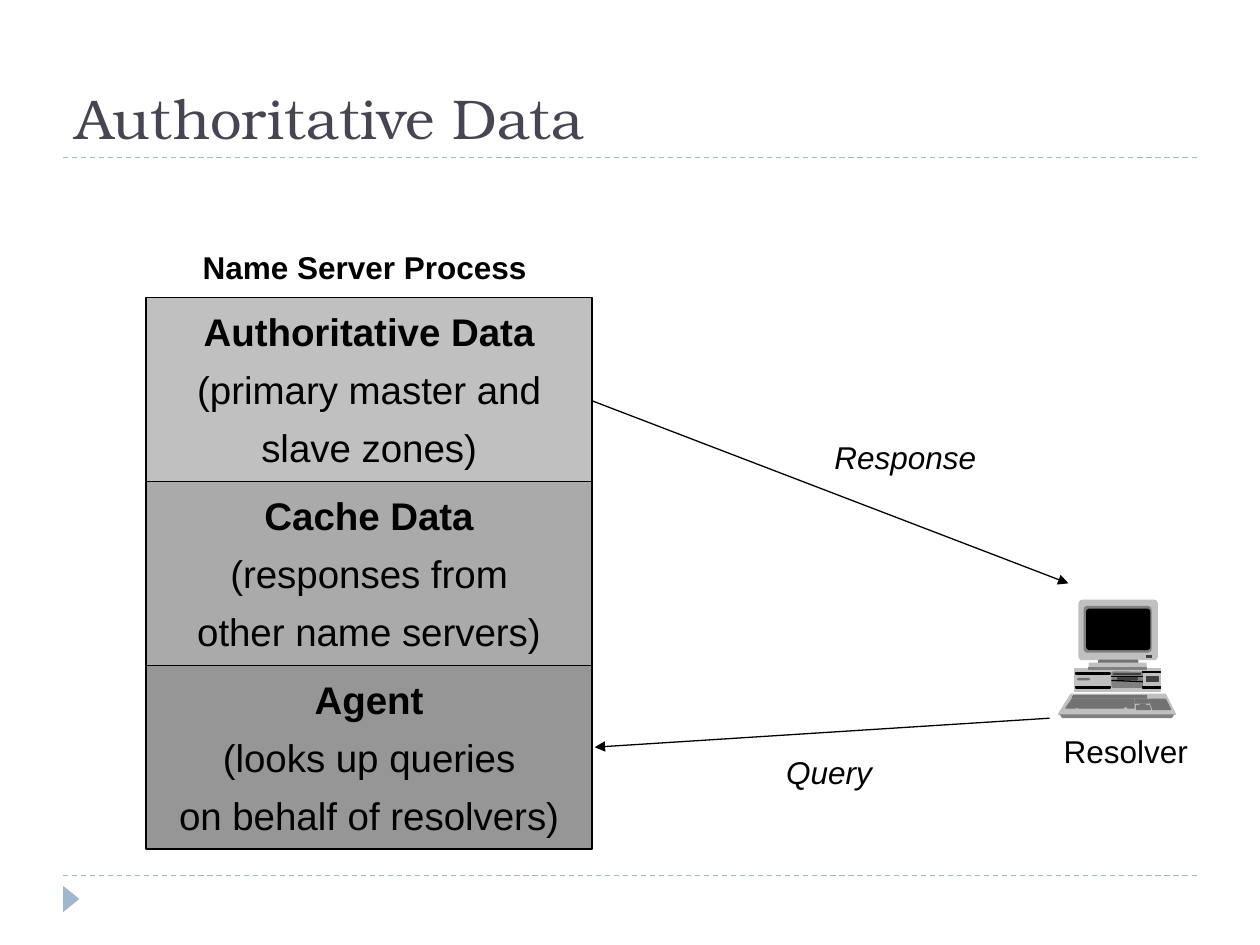
"""Build a slide on authoritative data in a name server, on a 100 by 75 grid."""
from lxml import etree
from pptx import Presentation
from pptx.dml.color import RGBColor
from pptx.enum import dml, shapes, text
from pptx.oxml.ns import qn
from pptx.util import Pt

HUES = {"ink": "000000", "title": "464653", "theme": "9FB8CD", "light": "C0C0C0",
        "mid": "AAAAAA", "deep": "969696", "shade": "808080", "key": "727272",
        "slot": "404040"}
HUES = {name: RGBColor.from_string(code) for name, code in HUES.items()}
KIND = shapes.MSO_SHAPE
ALIGN = text.PP_ALIGN

deck = Presentation()
deck.slide_width, deck.slide_height = Pt(720), Pt(540)
cell = deck.slide_width // 100
slide = deck.slides.add_slide(deck.slide_layouts[5])


def put(home, kind, box, fill, line=None, bend=None):
    part = home.add_shape(kind, *[round(n * cell) for n in box])
    part.shadow.inherit = False
    part.fill.solid()
    part.fill.fore_color.rgb = HUES[fill]
    if line:
        part.line.color.rgb = HUES[line]
        part.line.width = Pt(0.75)
    else:
        part.line.fill.background()
    if bend is not None:
        part.adjustments[0] = bend
    return part


def write(frame, lines, size, align, hue="ink", font="Arial", bold=False, slant=False):
    frame.word_wrap = False
    for i, line in enumerate(lines):
        para = frame.paragraphs[0] if i == 0 else frame.add_paragraph()
        para.alignment = align
        if i:
            para.space_before = Pt(6.7)
        run = para.add_run()
        run.text = line
        run.font.size, run.font.name = Pt(size), font
        run.font.bold, run.font.italic = bold and i == 0, slant
        run.font.color.rgb = HUES[hue]


title = slide.shapes.title
title.left, title.top, title.width, title.height = [round(n * cell) for n in (5, 2.5, 90, 10)]
title.text_frame.vertical_anchor = text.MSO_ANCHOR.BOTTOM
title.text_frame.auto_size = text.MSO_AUTO_SIZE.NONE
write(title.text_frame, ["Authoritative Data"], 32, ALIGN.LEFT, "title", "TeX Gyre Bonum")
title.text_frame.word_wrap = True

mark = put(slide.shapes, KIND.ISOSCELES_TRIANGLE, (4.6, 70.7, 2.1, 1.3), "theme")
mark.rotation = 90

pc = slide.shapes.add_group_shape().shapes
for box, fill, line, bend in [
    ((85.3, 53.1, 6.8, 1.8), "light", "light", 0),
    ((85.5, 53.8, 1, 0.2), "key", None, 0.5),
    ((88.2, 53.3, 2.5, 1.3), "shade", None, 0.12),
    ((85.6, 47.6, 6.3, 4.8), "light", None, 0.06),
    ((86, 48.1, 5.4, 3.7), "shade", None, 0.08),
    ((86.2, 48.3, 5.1, 3.3), "ink", None, 0.08),
    ((85.4, 53.4, 2.7, 0.1), "ink", "ink", 0),
    ((85.4, 54.5, 2.7, 0.1), "ink", "ink", 0),
    ((90.7, 53.3, 1.4, 0.1), "ink", "ink", 0),
    ((90.7, 54.5, 1.4, 0.1), "ink", "ink", 0),
    ((88.4, 53.5, 2.1, 0.03), "slot", "slot", 0),
    ((88.7, 53.8, 1.6, 0.1), "slot", "slot", 0),
    ((91, 53.7, 0.9, 0.4), "slot", "slot", 0),
    ((87.2, 52.4, 3.1, 0.5), "key", "key", 0.16),
    ((91, 52, 0.4, 0.2), "slot", "slot", 0),
    ((86.4, 52.6, 4.6, 0.4), "light", None, 0),
    ((86.4, 53, 4.6, 0.1), "shade", "shade", 0),
]:
    put(pc, KIND.ROUNDED_RECTANGLE, box, fill, line, bend)

for fill, line, dots in [
    ("light", "light", [(85, 55.1), (92.5, 55.1), (93.3, 56.7), (84, 56.7)]),
    ("shade", None, [(84.1, 56.7), (93.2, 56.7), (93, 57), (84.3, 57)]),
    ("key", "key", [(85.2, 55.2), (85.1, 55.4), (91, 55.4), (91, 55.2)]),
    ("key", "key", [(85.1, 55.5), (90, 55.5), (90, 56.2), (89.5, 56.2), (89.5, 56.1),
                    (89.2, 56.1), (89.2, 56.2), (85.6, 56.2), (85.6, 56.1),
                    (85.3, 56.2), (84.6, 56.2)]),
    ("key", "key", [(90.1, 55.5), (90.1, 55.8), (91.2, 55.8), (91.1, 55.5)]),
    ("key", "key", [(90.5, 55.9), (90.5, 56), (90.2, 56), (90.2, 56.3), (91.3, 56.3),
                    (91.2, 56), (90.9, 56), (90.9, 55.9)]),
    ("key", "key", [(91.2, 55.5), (91.5, 56.3), (92.9, 56.3), (92.5, 55.5)]),
]:
    dots = [(round(x * cell), round(y * cell)) for x, y in dots]
    pen = pc.build_freeform(*dots[0])
    pen.add_line_segments(dots[1:], close=True)
    keys = pen.convert_to_shape()
    keys.shadow.inherit = False
    keys.fill.solid()
    keys.fill.fore_color.rgb = HUES[fill]
    if line:
        keys.line.color.rgb = HUES[line]
        keys.line.width = Pt(0.75)
    else:
        keys.line.fill.background()

for home, ends, hue, style in [
    (slide.shapes, (5, 69.5, 95, 69.5), "theme", "dash"),
    (slide.shapes, (5, 12.5, 95, 12.5), "theme", "dash"),
    (pc, (88.2, 53.7, 90.7, 53.7), "ink", None),
    (pc, (88.2, 54, 90.7, 54.1), "ink", None),
    (slide.shapes, (83.3, 57, 47.2, 59.3), "ink", "arrow"),
    (slide.shapes, (46.7, 31.7, 84.8, 46.3), "ink", "arrow"),
]:
    wire = home.add_connector(shapes.MSO_CONNECTOR.STRAIGHT, *[round(n * cell) for n in ends])
    wire.line.color.rgb = HUES[hue]
    wire.line.width = Pt(0.75)
    if style == "dash":
        wire.line.dash_style = dml.MSO_LINE.DASH
    if style == "arrow":
        etree.SubElement(wire._element.spPr.find(qn("a:ln")), qn("a:tailEnd"), type="triangle")
    etree.SubElement(wire._element.spPr, qn("a:effectLst"))

tall = 14.6
for row, (fill, lines) in enumerate([
    ("light", ["Authoritative Data", "(primary master and", "slave zones)"]),
    ("mid", ["Cache Data", "(responses from", "other name servers)"]),
    ("deep", ["Agent", "(looks up queries", "on behalf of resolvers)"]),
]):
    block = put(slide.shapes, KIND.RECTANGLE, (11.6, 23.6 + row * tall, 35.4, tall), fill, "ink")
    block.text_frame.vertical_anchor = text.MSO_ANCHOR.MIDDLE
    write(block.text_frame, lines, 22, ALIGN.CENTER, bold=True)

for words, left, top, wide, align, bold, slant in [
    ("Name Server Process", 15.1, 19.2, 27.7, ALIGN.LEFT, True, False),
    ("Response", 65.2, 34.3, 13.3, ALIGN.CENTER, False, True),
    ("Query", 61.4, 59.3, 8.8, ALIGN.CENTER, False, True),
    ("Resolver", 83.4, 57.6, 11.9, ALIGN.CENTER, False, False),
]:
    label = slide.shapes.add_textbox(*[round(n * cell) for n in (left, top, wide, 4)])
    write(label.text_frame, [words], 18, align, bold=bold, slant=slant)

deck.save("out.pptx")
